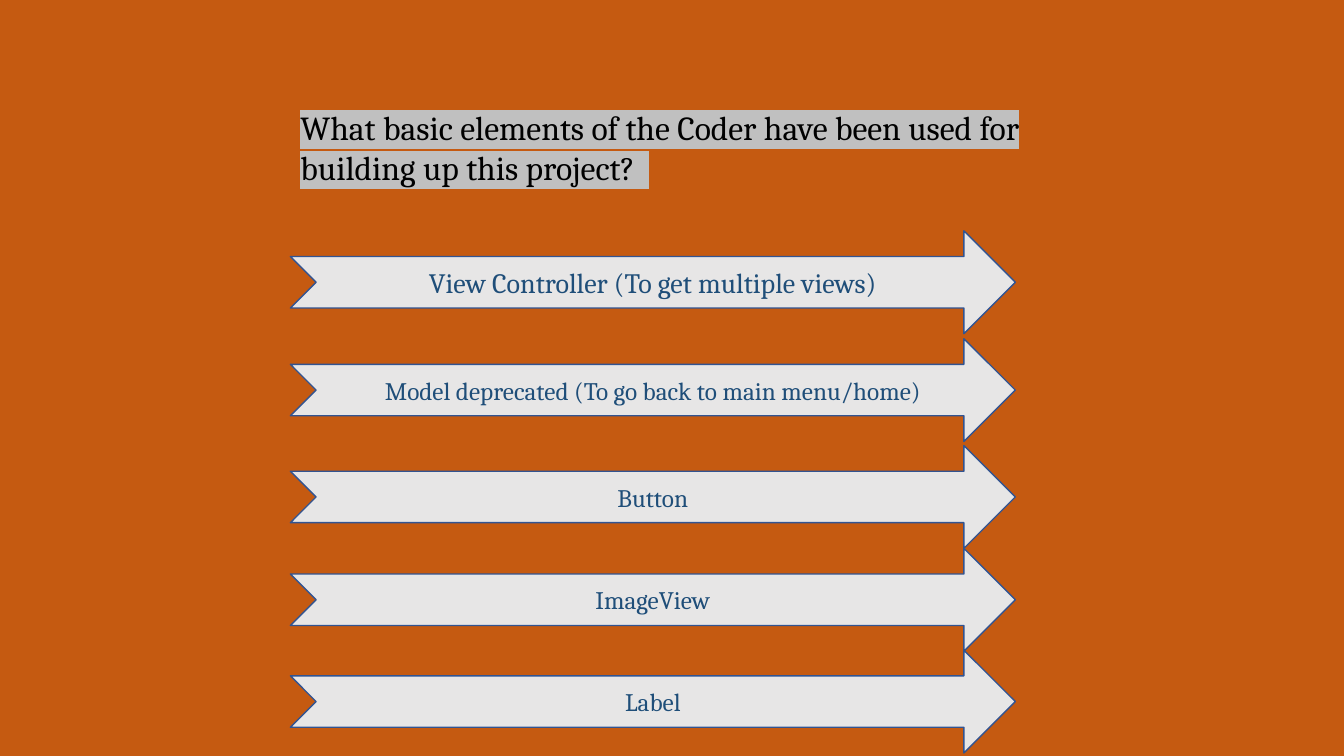
from lxml import etree
from pptx import Presentation
from pptx.dml.color import RGBColor
from pptx.enum import shapes, text
from pptx.oxml.ns import qn
from pptx.util import Inches, Pt

TITLE = ("What basic elements of the Coder have been used for "
         "building up this project?  ")
# label, text size, top of arrow
PARTS = [
    ("View Controller (To get multiple views)", 20, 2.29),
    ("Model deprecated (To go back to main menu/home)", 18, 3.36),
    ("Button", 18, 4.42),
    ("ImageView", 18, 5.44),
    ("Label", 18, 6.45),
]
LEFT, WIDTH, HEIGHT = 2.88, 7.19, 1.02
FONT = "Cambria"


def paint(fill, hue):
    """Make a fill solid in a hex colour."""
    fill.solid()
    fill.fore_color.rgb = RGBColor.from_string(hue)


def place(shape, left, top, width, height):
    """Move and size a shape, in inches."""
    shape.left, shape.top = Inches(left), Inches(top)
    shape.width, shape.height = Inches(width), Inches(height)


def write(shape, words, size, hue, align, anchor):
    """Set the text of a shape and return its run."""
    frame = shape.text_frame
    frame.text = words
    frame.word_wrap = True
    frame.vertical_anchor = anchor
    line = frame.paragraphs[0]
    line.alignment = align
    run = line.runs[0]
    run.font.name, run.font.size = FONT, Pt(size)
    paint(run.font.fill, hue)
    return run


def mark(run, hue):
    """Put a highlight colour behind a run."""
    light = etree.Element(qn("a:highlight"))
    etree.SubElement(light, qn("a:srgbClr"), val=hue)
    run.font._element.find(qn("a:solidFill")).addnext(light)


def arrow(slide, words, size, top):
    """Add one notched arrow with its label."""
    shape = slide.shapes.add_shape(
        shapes.MSO_SHAPE.NOTCHED_RIGHT_ARROW,
        Inches(LEFT), Inches(top), Inches(WIDTH), Inches(HEIGHT))
    shape.shadow.inherit = False
    paint(shape.fill, "E7E6E6")
    paint(shape.line.fill, "325491")
    shape.line.width = Pt(1)
    write(shape, words, size, "1F4E79",
          text.PP_ALIGN.CENTER, text.MSO_ANCHOR.MIDDLE)


deck = Presentation()
deck.slide_width, deck.slide_height = Inches(13.33), Inches(7.5)
slide = deck.slides.add_slide(deck.slide_layouts[5])
paint(slide.background.fill, "C55A11")

title = slide.shapes.title
place(title, LEFT, 1.01, 7.56, 0.91)
run = write(title, TITLE, 24, "000000",
            text.PP_ALIGN.LEFT, text.MSO_ANCHOR.TOP)
title.text_frame.auto_size = text.MSO_AUTO_SIZE.NONE
mark(run, "C0C0C0")

for words, size, top in PARTS:
    arrow(slide, words, size, top)

deck.save("out.pptx")
